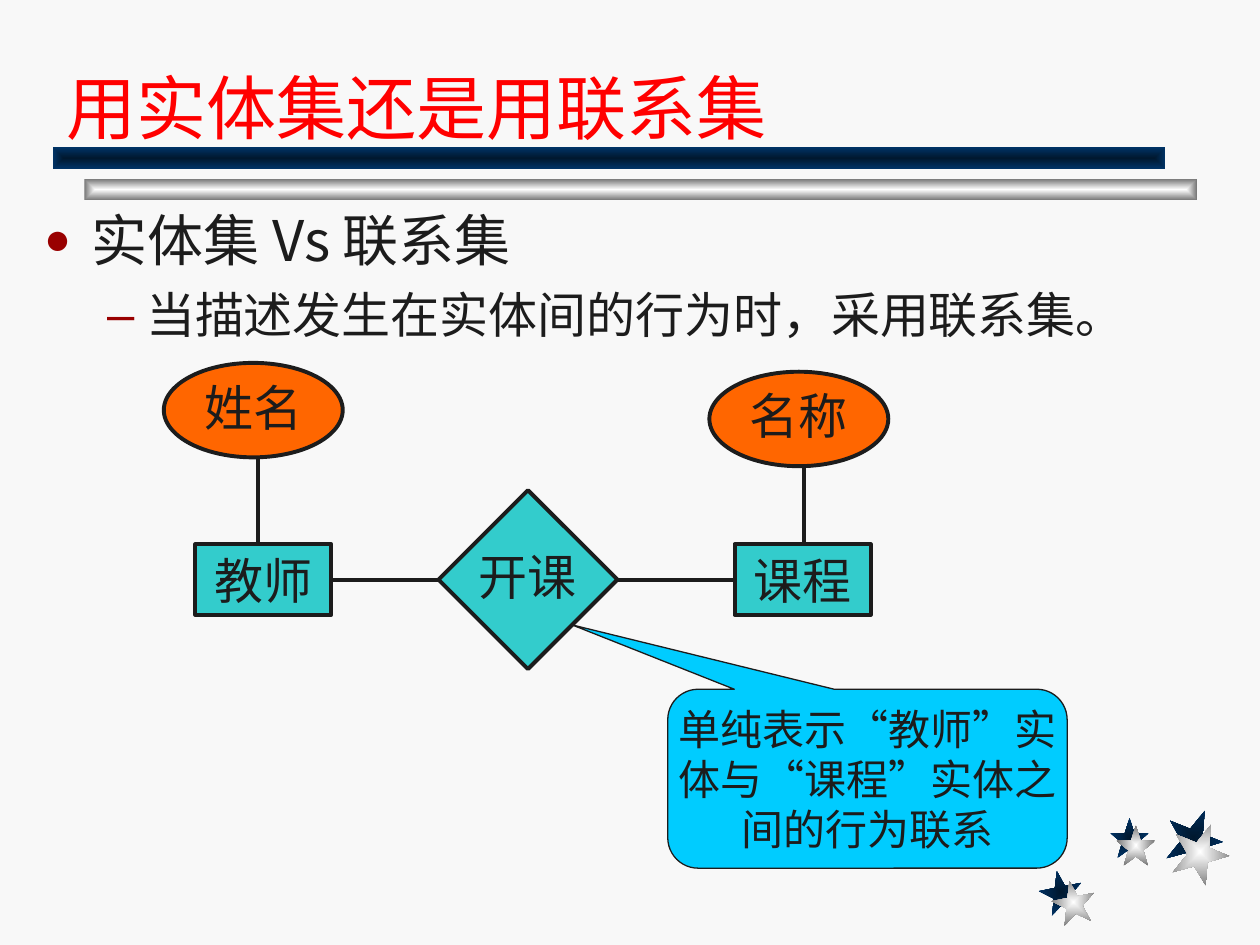
from lxml.etree import SubElement
from pptx import Presentation
from pptx.dml.color import RGBColor
from pptx.enum.lang import MSO_LANGUAGE_ID
from pptx.enum.shapes import MSO_CONNECTOR, MSO_SHAPE
from pptx.enum.text import MSO_ANCHOR, MSO_AUTO_SIZE, PP_ALIGN
from pptx.oxml.ns import qn
from pptx.util import Inches, Pt

COLORS = {
    "background": "F8F8F8", "title": "FF0000", "ink": "1C1C1C", "bullet": "990000",
    "entity": "33CCCC", "attribute": "FF6600", "callout": "00CCFF",
    "navy": "00182F", "navy_edge": "003366", "silver": "FFFFFF", "silver_edge": "767676",
}
STAR = [(0, .38), (.38, .38), (.5, 0), (.62, .38), (1, .38),
        (.69, .62), (.81, 1), (.5, .77), (.19, 1), (.31, .62)]
STAR_SIZES = [(0.34, 0.34, -11), (0.31, 0.32, 0), (0.45, 0.46, 22)]
STAR_PLACES = {
    "navy": [(8.25, 6.91), (8.81, 6.49), (9.25, 6.42)],
    "silver": [(8.35, 6.99), (8.86, 6.55), (9.30, 6.53)],
}


class SlideBuilder:
    """Hold the style and the current slide, and draw each kind of element."""

    heading_font = "Lato"
    body_font = "Noto Sans CJK JP"
    diagram_font = "Times New Roman"

    def __init__(self, deck):
        self.page = deck.slides.add_slide(deck.slide_layouts[1])
        self.shapes = self.page.shapes
        self.paint(self.page.background.fill, "background")

    def paint(self, fill, color):
        fill.solid()
        fill.fore_color.rgb = RGBColor.from_string(COLORS[color])

    def shade(self, shape, color):
        shape.shadow.inherit = False
        shape.line.fill.background()
        shape.fill.gradient()
        for stop, name in zip(shape.fill.gradient_stops, (color, color + "_edge")):
            stop.color.rgb = RGBColor.from_string(COLORS[name])
        gradient = shape._element.spPr.find(qn("a:gradFill"))
        gradient.remove(gradient.find(qn("a:lin")))
        focus = SubElement(gradient, qn("a:path"), {"path": "rect"})
        SubElement(focus, qn("a:fillToRect"), dict.fromkeys("ltrb", "50000"))

    def star(self, left, top, width, height, rotation, color):
        points = [(Inches(left + x * width), Inches(top + y * height)) for x, y in STAR]
        builder = self.shapes.build_freeform(*points[0])
        builder.add_line_segments(points[1:])
        shape = builder.convert_to_shape()
        shape.rotation = rotation
        self.shade(shape, color)

    def bar(self, left, top, color):
        box = self.shapes.add_shape(
            MSO_SHAPE.RECTANGLE, Inches(left), Inches(top), Inches(8.83), Inches(0.17))
        self.shade(box, color)

    def format(self, paragraph, size, font, color="ink", align=PP_ALIGN.CENTER):
        paragraph.alignment = align
        for span in paragraph.runs:
            span.font.size = Pt(size)
            span.font.name = font
            span.font.language_id = MSO_LANGUAGE_ID.SIMPLIFIED_CHINESE
            span.font.color.rgb = RGBColor.from_string(COLORS[color])

    def place(self, box, left, top, width, height, anchor):
        box.left, box.top = Inches(left), Inches(top)
        box.width, box.height = Inches(width), Inches(height)
        box.text_frame.auto_size = MSO_AUTO_SIZE.NONE
        box.text_frame.vertical_anchor = anchor

    def title(self, text):
        box = self.shapes.title
        self.place(box, 0.43, 0.21, 8.52, 1.02, MSO_ANCHOR.BOTTOM)
        box.text_frame.text = text
        self.format(box.text_frame.paragraphs[0], 40, self.heading_font, "title", PP_ALIGN.LEFT)

    def bullets(self, items):
        box = self.page.placeholders[1]
        self.place(box, 0.25, 1.58, 9.55, 1.2, MSO_ANCHOR.TOP)
        box.text_frame.text = "\n".join(item[0] for item in items)
        for paragraph, item in zip(box.text_frame.paragraphs, items):
            _, level, size, before, margin, hanging, mark, scale = item
            paragraph.level = level
            paragraph.space_before = Pt(before)
            self.format(paragraph, size, self.body_font, align=PP_ALIGN.JUSTIFY)
            properties = paragraph._p.get_or_add_pPr()
            properties.set("marL", str(Inches(margin)))
            properties.set("indent", str(-Inches(hanging)))
            color = SubElement(properties, qn("a:buClr"))
            SubElement(color, qn("a:srgbClr"), val=COLORS["bullet"])
            SubElement(properties, qn("a:buSzPct"), val=str(scale * 1000))
            SubElement(properties, qn("a:buChar"), char=mark)

    def node(self, kind, text, left, top, width, height, color,
             size=28, line=2.25, wrap=False, spacing=None):
        shape = self.shapes.add_shape(
            kind, Inches(left), Inches(top), Inches(width), Inches(height))
        shape.shadow.inherit = False
        self.paint(shape.fill, color)
        self.paint(shape.line.fill, "ink")
        shape.line.width = Pt(line)
        frame = shape.text_frame
        frame.text = text
        frame.word_wrap = wrap
        frame.vertical_anchor = MSO_ANCHOR.MIDDLE
        if spacing:
            frame.paragraphs[0].line_spacing = spacing
        self.format(frame.paragraphs[0], size, self.diagram_font)
        return shape

    def entity(self, text, left):
        return self.node(MSO_SHAPE.RECTANGLE, text, left, 4.32, 1.08, 0.56, "entity", wrap=True)

    def attribute(self, text, left, top):
        self.node(MSO_SHAPE.OVAL, text, left, top, 1.42, 0.75, "attribute", spacing=0.9)

    def relationship(self, text, left, top):
        return self.node(MSO_SHAPE.DIAMOND, text, left, top, 1.42, 1.42, "entity", spacing=0.9)

    def callout(self, text):
        shape = self.node(MSO_SHAPE.ROUNDED_RECTANGULAR_CALLOUT, text,
                          5.3, 5.47, 3.17, 1.42, "callout", size=24, line=0.75, wrap=True)
        for index, value in enumerate((-0.74, -0.86, 0.17)):
            shape.adjustments[index] = value
        frame = shape.text_frame
        frame.margin_left = frame.margin_right = frame.margin_top = frame.margin_bottom = 0

    def line(self, x1=0, y1=0, x2=0, y2=0):
        connector = self.shapes.add_connector(
            MSO_CONNECTOR.STRAIGHT, Inches(x1), Inches(y1), Inches(x2), Inches(y2))
        self.paint(connector.line.fill, "ink")
        connector.line.width = Pt(2.25)
        SubElement(connector._element.spPr, qn("a:effectLst"))
        return connector

    def join(self, left_shape, right_shape):
        connector = self.line()
        connector.begin_connect(left_shape, 3)
        connector.end_connect(right_shape, 1)


def main():
    deck = Presentation()
    deck.slide_width, deck.slide_height = Inches(10), Inches(7.5)
    slide = SlideBuilder(deck)
    for color, places in STAR_PLACES.items():
        for place, size in zip(places, STAR_SIZES):
            slide.star(*place, *size, color)
    slide.bar(0.67, 1.42, "silver")
    slide.bar(0.42, 1.17, "navy")
    slide.title("用实体集还是用联系集")
    slide.bullets([
        ("实体集 Vs 联系集", 0, 32, 8, 0.38, 0.38, "●", 80),
        ("当描述发生在实体间的行为时，采用联系集。", 1, 28, 7, 0.81, 0.31, "–", 100),
    ])
    teacher = slide.entity("教师", 1.55)
    course = slide.entity("课程", 5.83)
    teaching = slide.relationship("开课", 3.48, 3.89)
    slide.join(teacher, teaching)
    slide.join(teaching, course)
    slide.attribute("姓名", 1.3, 2.88)
    slide.line(2.05, 4.32, 2.05, 3.63)
    slide.attribute("名称", 5.63, 2.95)
    slide.line(6.38, 4.32, 6.38, 3.7)
    slide.callout("单纯表示“教师”实体与“课程”实体之间的行为联系")
    deck.save("out.pptx")


if __name__ == "__main__":
    main()
